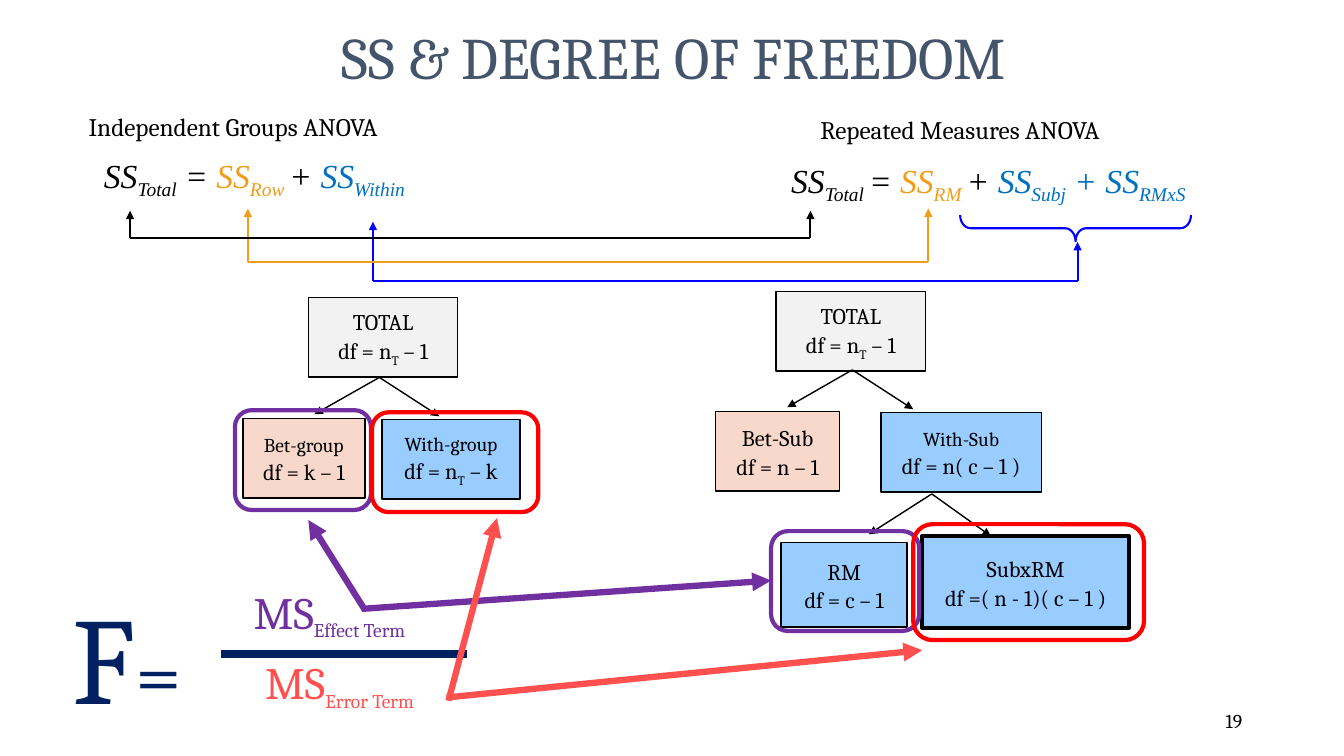
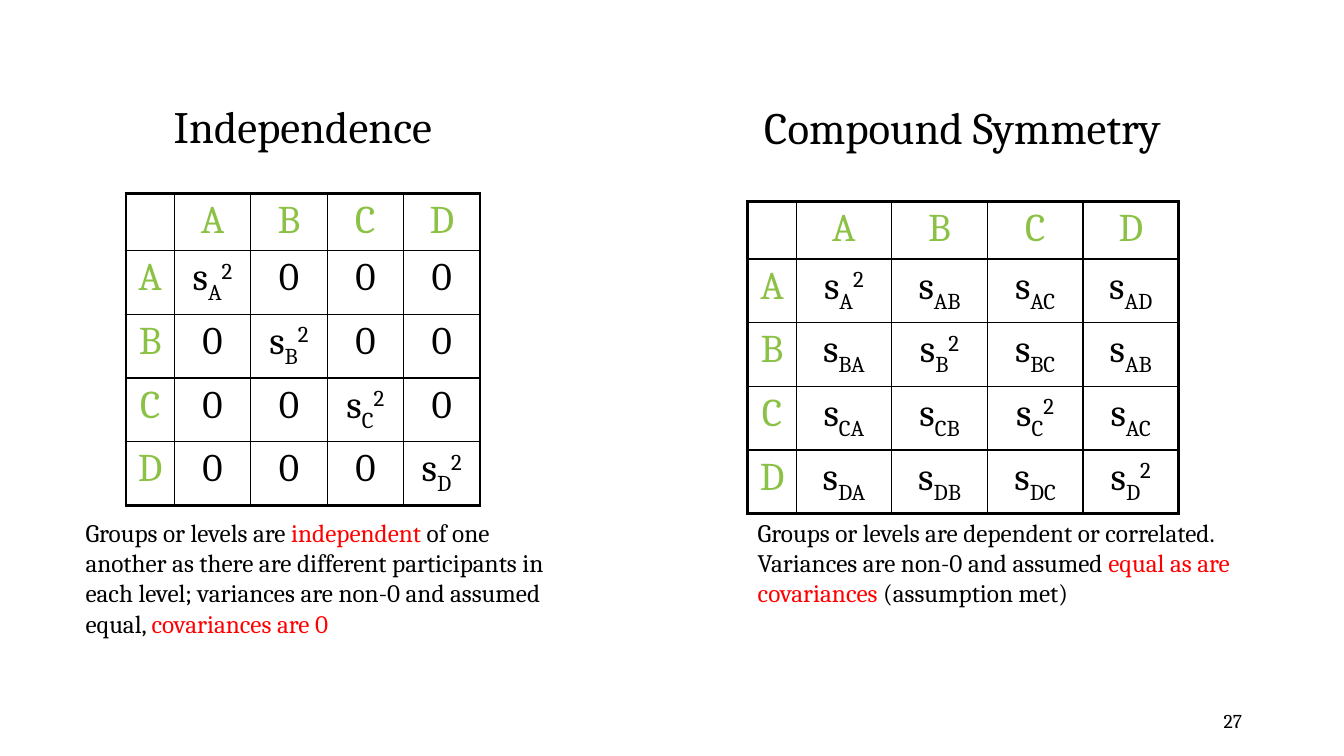
import pptx
import pptx.util
import pptx.dml.color
import pptx.enum.shapes
import pptx.enum.text
import pptx.oxml
import pptx.oxml.ns
import lxml.etree

Pt = pptx.util.Pt
Kind = pptx.enum.shapes.MSO_SHAPE
Align = pptx.enum.text.PP_ALIGN
Anchor = pptx.enum.text.MSO_ANCHOR
qn = pptx.oxml.ns.qn

BLACK, GOLD, SKY, BLUE = "000000", "F19D19", "0070C0", "0000FF"
SLATE, NAVY, PLUM, RED, CORAL = "44546A", "002060", "7030A0", "FF0000", "FF5050"
GREY, PEACH, PALE, GREEN = "F2F2F2", "F8D8CA", "99CCFF", "8BC145"
SUB, SUP = -25, 30


def rgb(code):
    """Turn a hex string into a colour."""
    return pptx.dml.color.RGBColor.from_string(code)


def run(text, hue=None, base=0, size=None):
    """Describe a run that differs from its paragraph."""
    return text, hue, base, size


def low(text, hue=None, size=None):
    """Describe a subscript run."""
    return run(text, hue, SUB, size)


class Deck:
    """Holds the style and the current slide."""

    def __init__(self):
        """Start an empty wide deck."""
        self.show = pptx.Presentation()
        self.show.slide_width, self.show.slide_height = Pt(960), Pt(540)
        self.face = "Cambria"

    def page(self, num):
        """Add a blank slide with its number."""
        self.slide = self.show.slides.add_slide(self.show.slide_layouts[6])
        self.text(678.4, 500.5, 216, 28.8, [str(num)], 14,
                  align=Align.RIGHT, anchor=Anchor.MIDDLE)

    def para(self, para, runs, size, hue=BLACK, align=Align.LEFT, face=None, italic=None):
        """Write runs into one paragraph."""
        para.alignment = align
        font = para.font
        font.name, font.size, font.italic = face or self.face, Pt(size), italic
        font.color.rgb = rgb(hue)
        for item in runs:
            text, tint, base, big = run(item) if isinstance(item, str) else item
            part = para.add_run()
            part.text = text
            if tint:
                part.font.color.rgb = rgb(tint)
            if big:
                part.font.size = Pt(big)
            if base:
                part._r.get_or_add_rPr().set("baseline", str(base * 1000))

    def text(self, x, y, w, h, runs, size, hue=BLACK, align=Align.LEFT,
             anchor=Anchor.TOP, wrap=True, space=None, before=None, **look):
        """Add a text box of one paragraph."""
        frame = self.slide.shapes.add_textbox(Pt(x), Pt(y), Pt(w), Pt(h)).text_frame
        frame.word_wrap, frame.vertical_anchor = wrap, anchor
        para = frame.paragraphs[0]
        self.para(para, runs, size, hue, align, **look)
        if space:
            para.line_spacing = space
        if before:
            para.space_before = Pt(before)

    def shape(self, kind, x, y, w, h, hue, width, fill=None):
        """Add an outlined shape."""
        shape = self.slide.shapes.add_shape(kind, Pt(x), Pt(y), Pt(w), Pt(h))
        shape.shadow.inherit = False
        if fill:
            shape.fill.solid()
            shape.fill.fore_color.rgb = rgb(fill)
        else:
            shape.fill.background()
        shape.line.color.rgb, shape.line.width = rgb(hue), Pt(width)
        return shape

    def box(self, x, y, w, h, fill, name, runs, size=16, width=1):
        """Add a box with a name above its degrees of freedom."""
        frame = self.shape(Kind.RECTANGLE, x, y, w, h, BLACK, width, fill).text_frame
        frame.word_wrap, frame.vertical_anchor = True, Anchor.MIDDLE
        self.para(frame.paragraphs[0], [name], size, align=Align.CENTER)
        self.para(frame.add_paragraph(), runs, 16, align=Align.CENTER)
        for para in frame.paragraphs:
            para.line_spacing = 1.07

    def line(self, x, y, to_x, to_y, hue=BLACK, width=1.0, head=True):
        """Add a line, with an arrowhead at its end if wanted."""
        line = self.slide.shapes.add_connector(
            pptx.enum.shapes.MSO_CONNECTOR.STRAIGHT, Pt(x), Pt(y), Pt(to_x), Pt(to_y))
        line.line.color.rgb, line.line.width = rgb(hue), Pt(width)
        if head:
            lxml.etree.SubElement(line.line._get_or_add_ln(), qn("a:tailEnd"), type="triangle")
        lxml.etree.SubElement(line._element.spPr, qn("a:effectLst"))

    def link(self, hue, left, right, y, left_top, right_top):
        """Join two terms with a bracket of arrows."""
        self.line(left, y, left, left_top, hue, 1.5)
        self.line(right, y, right, right_top, hue, 1.5)
        self.line(left, y, right, y, hue, 1.5, False)

    def edge(self, cell, sides):
        """Draw the four borders of a cell."""
        props = cell._tc.get_or_add_tcPr()
        for spot, (side, width) in enumerate(zip("LRTB", sides)):
            edge = pptx.oxml.parse_xml(
                f'<a:ln{side} {pptx.oxml.ns.nsdecls("a")} w="{Pt(width)}"><a:solidFill>'
                f'<a:srgbClr val="{BLACK}"/></a:solidFill></a:ln{side}>')
            props.insert(spot, edge)

    def grid(self, x, y, wide, top, tall, rows):
        """Add a covariance table from rows of subscripts."""
        names = "ABCD"
        data = [["", *names]] + [[name, *row.split()] for name, row in zip(names, rows)]
        last = len(names)
        table = self.slide.shapes.add_table(
            last + 1, last + 1, Pt(x), Pt(y), Pt(34.5 + last * wide), Pt(top + last * tall)).table
        table.first_row = table.horz_banding = False
        for i in range(last + 1):
            table.columns[i].width = Pt(wide if i else 34.5)
            table.rows[i].height = Pt(tall if i else top)
        for r, row in enumerate(data):
            for c, mark in enumerate(row):
                cell = table.cell(r, c)
                cell.fill.background()
                self.edge(cell, [2.25 if out else 1
                                 for out in (c == 0, c == last, r == 0, r == last)])
                inner = r and c
                runs = [mark] if mark else []
                if inner and mark != "0":
                    runs = ["s", low(mark)] + ([run("2", base=SUP)] if len(mark) == 1 else [])
                self.para(cell.text_frame.paragraphs[0], runs, 28,
                          BLACK if inner else GREEN, Align.CENTER)


def freedom(deck):
    """Build the slide on sums of squares."""
    deck.page(19)
    maths = dict(size=24, align=Align.CENTER, space=0.9, face="Times New Roman", italic=True)
    deck.text(13.7, 107.3, 336.2, 84.2,
              ["SS", low("Total"), " = ", run("SS", GOLD), low("Row ", GOLD), "+ ",
               run("SS", SKY), low("Within", SKY)], before=10, **maths)
    deck.text(509.8, 110.9, 392.4, 84.2,
              ["SS", low("Total "), "= ", run("SS", GOLD), low("RM ", GOLD), "+ ",
               run("SS", SKY), low("Subj", SKY), run(" + SS", SKY), low("RMxS", SKY)],
              before=5, **maths)
    deck.link(BLUE, 266.4, 769.7, 200.9, 158.4, 172.8)
    brace = deck.shape(Kind.RIGHT_BRACE, 758.9, 80.6, 18.7, 164.9, BLUE, 1.5)
    brace.rotation = 90
    brace.adjustments[0] = 0.4
    deck.link(GOLD, 177.1, 663.1, 187.2, 149, 149)
    deck.link(BLACK, 92.9, 578.9, 169.9, 150.5, 150.5)

    deck.text(145.4, 8.6, 671.8, 69.8, ["SS & DEGREE OF FREEDOM"], 42, SLATE,
              Align.CENTER, Anchor.MIDDLE, space=0.9)
    deck.text(56.2, 76.3, 257, 28.8, ["Independent Groups ANOVA"], 18, wrap=False)
    deck.text(578.9, 77.8, 247.7, 28.8, ["Repeated Measures ANOVA"], 18, wrap=False)

    total = ["df = n", low("T"), " – 1"]
    tall = 56.9
    deck.box(220.3, 212.4, 106.6, tall, GREY, "TOTAL", total)
    deck.box(173.5, 298.8, 87.1, tall, PEACH, "Bet-group", ["df = k – 1"], 14)
    deck.box(272.9, 299.5, 98.6, tall, PALE, "With-group", ["df = n", low("T"), " – k"], 14)
    deck.box(558, 387.4, 90, 60.5, PALE, "RM", ["df = c – 1"])
    deck.box(658.8, 383, 147.6, 65.5, PALE, "SubxRM", ["df =( n - 1)( c – 1 )"], width=3)
    deck.box(554.4, 208.1, 106.6, tall, GREY, "TOTAL", total)
    deck.box(511.2, 293.8, 88.6, tall, PEACH, "Bet-Sub", ["df = n – 1"])
    deck.box(629.3, 294.5, 114.5, tall, PALE, "With-Sub", ["df = n( c – 1 )"], 14)
    for x, y, left, left_y, right, right_y in (
            (271, 269.6, 224.6, 295.9, 313.9, 297.4),
            (665.6, 352.8, 620.6, 381.6, 707.8, 383),
            (608.8, 264.2, 562.3, 290.9, 652.3, 292.3)):
        deck.line(x, y, left, left_y)
        deck.line(x, y, right, right_y)

    deck.text(44.6, 411.8, 106.6, 113.8, ["F", run("=", size=60)], 88, NAVY, wrap=False)
    deck.line(157.7, 467.3, 333.4, 467.3, NAVY, 6, False)
    for hue, x, y, w, h in ((PLUM, 550.8, 379.4, 105.8, 71.3), (PLUM, 167.8, 293, 97.2, 71.3),
                            (RED, 265.7, 294.5, 118.8, 71.3), (RED, 652.3, 374.4, 164.9, 82.8)):
        deck.shape(Kind.ROUNDED_RECTANGLE, x, y, w, h, hue, 3)
    for term, hue, x, y, w in (("Effect Term", PLUM, 162, 414, 146.9),
                               ("Error Term", CORAL, 170.6, 464.4, 144)):
        deck.text(x, y, w, 46.1, ["MS", low(term, size=24)], 32, hue, Align.CENTER, wrap=False)
    for hue, *ends in ((PLUM, 260.6, 435.6, 220.3, 371.5), (PLUM, 258.5, 434.9, 550.8, 414.7),
                       (CORAL, 319, 498.2, 658.8, 464.4), (CORAL, 320.4, 500.4, 355, 370.1)):
        deck.line(*ends, hue, 4.5)


def symmetry(deck):
    """Build the slide on covariance patterns."""
    deck.page(27)
    deck.grid(90, 138.2, 54.6, 39.3, 43.4, ["A 0 0 0", "0 B 0 0", "0 0 C 0", "0 0 0 D"])
    deck.grid(534.2, 144, 68.3, 41, 45.5,
              ["A AB AC AD", "BA B BC AB", "CA CB C AC", "DA DB DC D"])
    deck.text(99.4, 67, 234, 45.4, ["Independence"], 32, align=Align.CENTER)
    deck.text(494.6, 67.7, 385.9, 46.1, ["Compound Symmetry"], 32, align=Align.CENTER)
    deck.text(54, 365.8, 354.2, 94.3, [
        "Groups or levels are ", run("independent", RED),
        " of one another as there are different participants in each level; "
        "variances are non-0 and assumed equal, ", run("covariances are 0", RED)], 18)
    deck.text(534.2, 365.8, 374.4, 72.7, [
        "Groups or levels are dependent or correlated. Variances are non-0 and assumed ",
        run("equal as are covariances", RED), " (assumption met)"], 18)


def main():
    """Build and save the deck."""
    deck = Deck()
    freedom(deck)
    symmetry(deck)
    deck.show.save("out.pptx")


if __name__ == "__main__":
    main()
